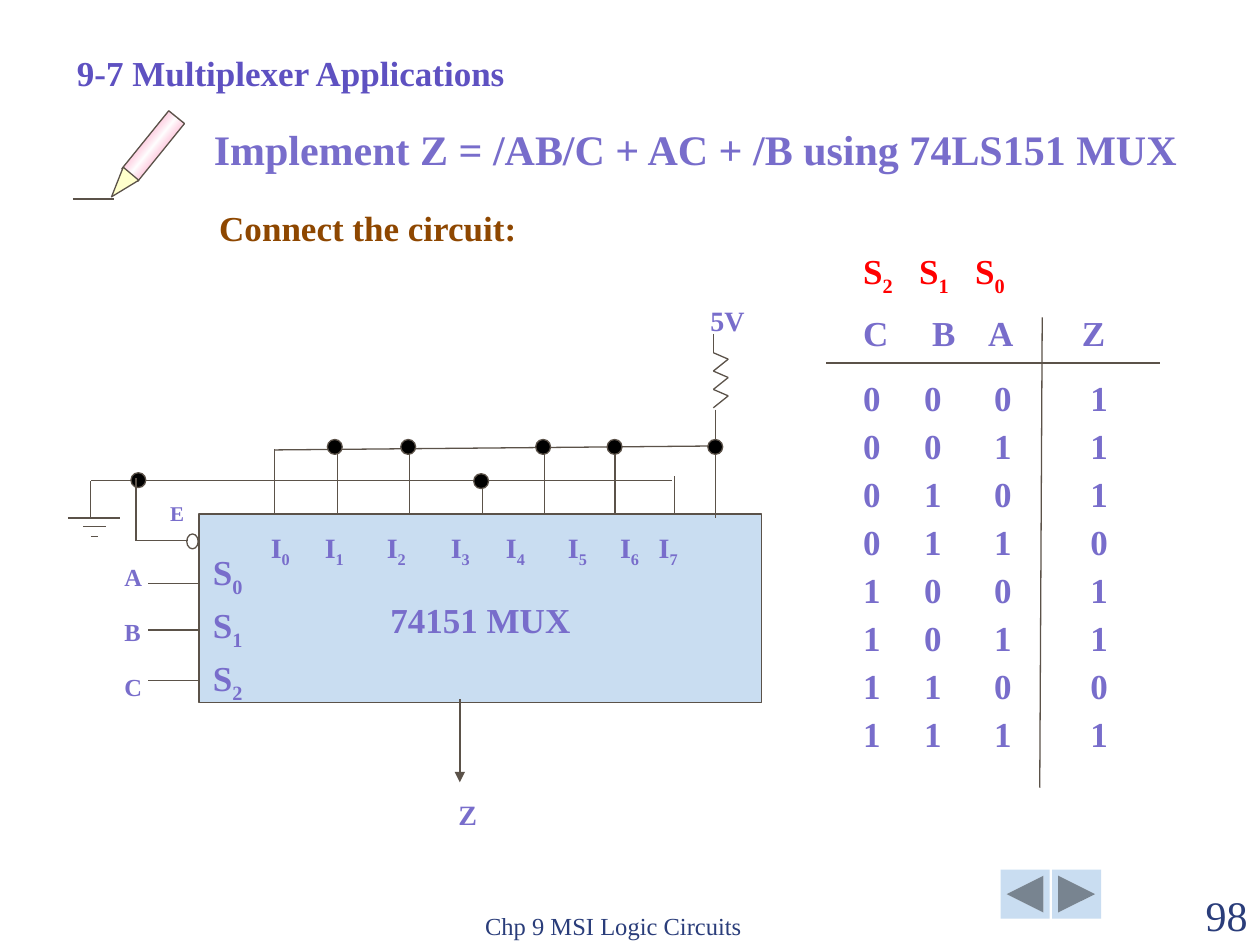
from itertools import pairwise, product

from lxml.etree import SubElement as Sub
from pptx import Presentation
from pptx.dml.color import RGBColor
from pptx.enum.shapes import MSO_CONNECTOR as Link, MSO_SHAPE as Kind
from pptx.enum.text import MSO_ANCHOR as Anchor, PP_ALIGN as Align
from pptx.oxml.ns import qn
from pptx.util import Cm, Pt

INK, BLUE, VIOLET, NAVY = "5B5249", "C9DDF1", "786DCB", "2A3D7A"


def tint(code):
    return RGBColor.from_string(code)


def write(frame, text, size=20, color=VIOLET, bold=True, align=Align.LEFT,
          anchor=Anchor.TOP, gap=0, lead=None, tabs=()):
    """Fill a frame line by line; the character after "_" is a subscript."""
    frame.word_wrap = True
    frame.vertical_anchor = anchor
    for i, line in enumerate(text.split("\n")):
        para = frame.add_paragraph() if i else frame.paragraphs[0]
        if tabs:
            stops = Sub(para._p.get_or_add_pPr(), qn("a:tabLst"))
            for pos in tabs:
                Sub(stops, qn("a:tab"), pos=str(Cm(pos)), algn="l")
        para.alignment = align
        if lead:
            para.line_spacing = lead
        if i:
            para.space_before = Pt(gap)
        head, *rest = line.split("_")
        bits = [(head, False)]
        for part in rest:
            bits += [(part[0], True), (part[1:], False)]
        for bit, low in bits:
            if not bit:
                continue
            run = para.add_run()
            run.text = bit
            font = run.font
            font.name, font.size, font.bold = "Times New Roman", Pt(size), bold
            font.color.rgb = tint(color)
            if low:
                run._r.get_or_add_rPr().set("baseline", "-25000")


class Pen:
    def __init__(self, slide, ink=INK, width=0.75):
        self.shapes, self.ink, self.width = slide.shapes, ink, width

    def text(self, text, x, y, w, h, **fmt):
        box = self.shapes.add_textbox(Cm(x), Cm(y), Cm(w), Cm(h))
        write(box.text_frame, text, **fmt)

    def shape(self, kind, x, y, w, h, fill=None, line=True, turn=0):
        item = self.shapes.add_shape(kind, Cm(x), Cm(y), Cm(w), Cm(h))
        item.shadow.inherit = False
        item.rotation = turn
        if fill:
            item.fill.solid()
            item.fill.fore_color.rgb = tint(fill)
        else:
            item.fill.background()
        if line:
            item.line.color.rgb = tint(self.ink)
            item.line.width = Pt(self.width)
        else:
            item.line.fill.background()
        return item

    def line(self, x1, y1, x2, y2, width=None, arrow=False):
        wire = self.shapes.add_connector(Link.STRAIGHT, Cm(x1), Cm(y1), Cm(x2), Cm(y2))
        wire.line.color.rgb = tint(self.ink)
        wire.line.width = Pt(width or self.width)
        if arrow:
            Sub(wire.line._get_or_add_ln(), qn("a:tailEnd"), type="triangle")
        Sub(wire._element.spPr, qn("a:effectLst"))

    def dot(self, x, y, size=0.3):
        self.shape(Kind.OVAL, x - size / 2, y - size / 2, size, size, "000000")

    def blend(self, item, stops, angle):
        item.fill.gradient()
        item.fill.gradient_angle = angle
        group = item._element.spPr.find(qn("a:gradFill")).find(qn("a:gsLst"))
        group.clear()
        for pos, code, alpha in stops:
            stop = Sub(group, qn("a:gs"), pos=str(pos * 1000))
            color = Sub(stop, qn("a:srgbClr"), val=code)
            Sub(color, qn("a:alpha"), val=str(alpha * 1000))


def main():
    deck = Presentation()
    deck.slide_width, deck.slide_height = Cm(25.4), Cm(19.05)
    pen = Pen(deck.slides.add_slide(deck.slide_layouts[6]))

    # Buttons and footer
    pen.shape(Kind.ACTION_BUTTON_BACK_OR_PREVIOUS, 20.17, 17.53, 0.99, 0.99, BLUE, False)
    pen.shape(Kind.ACTION_BUTTON_FORWARD_OR_NEXT, 21.21, 17.53, 0.99, 0.99, BLUE, False)
    foot = dict(color=NAVY, bold=False, anchor=Anchor.BOTTOM)
    pen.text("Chp 9 MSI Logic Circuits", 9.53, 17.81, 8.05, 1.27, size=14, **foot)
    pen.text("98", 22.86, 17.81, 2.54, 1.27, size=24, align=Align.RIGHT, **foot)

    # Headings
    pen.text("9-7 Multiplexer Applications", 1.3, 0.91, 9.19, 1.09, color="5E51C1")
    pen.text("Implement Z = /AB/C + AC + /B using 74LS151 MUX",
             4.06, 2.36, 20.6, 1.27, size=24)
    pen.text("Connect the circuit:", 4.17, 4.04, 7, 1.09, color="8E4700")

    # Pencil
    body = pen.shape(Kind.RECTANGLE, 2.34, 2.74, 1.5, 0.41, BLUE, turn=309)
    pen.blend(body, [(0, "FF0066", 25), (50, "FFFFFF", 100), (100, "FF0066", 25)], 90)
    pen.shape(Kind.ISOSCELES_TRIANGLE, 2.24, 3.43, 0.41, 0.61, "FFFFCC", turn=220.1)
    pen.line(1.47, 4.01, 2.29, 4.01)

    # Multiplexer block
    mux = pen.shape(Kind.RECTANGLE, 4.01, 10.36, 11.35, 3.81, BLUE)
    mux.text_frame.margin_top = Cm(0.58)
    write(mux.text_frame, "74151 MUX", align=Align.CENTER, anchor=Anchor.MIDDLE)
    pen.text("\t".join(f"I_{i}" for i in range(8)), 5.21, 10.57, 10.2, 0.94,
             size=16, tabs=(1.09, 2.34, 3.63, 4.74, 5.99, 7.04, 7.82))
    pen.text("S_0\nS_1\nS_2", 4.04, 11.15, 1.14, 2.87, lead=0.7, gap=11)

    # Select inputs and output
    pen.text("A\nB\nC", 2.26, 10.97, 0.86, 3.33, size=14, lead=1.4, gap=8)
    for y in (11.76, 12.7, 13.72):
        pen.line(4.01, y, 2.98, y)
    pen.line(9.27, 14.1, 9.27, 15.77, width=1.5, arrow=True)
    pen.text("Z", 8.99, 15.95, 0.89, 0.94, size=16)

    # Supply and resistor
    pen.text("5V", 13.61, 5.99, 2.11, 0.94, size=16, align=Align.CENTER)
    pen.line(14.38, 6.73, 14.38, 7.11)
    zigzag = [(14.38 + 0.3 * (i % 2), 7.11 + 0.37 * (i // 2) + 0.13 * (i % 2))
              for i in range(7)]
    for start, end in pairwise(zigzag):
        pen.line(*start, *end)
    pen.line(14.43, 8.26, 14.43, 10.44)

    # Inputs tied high
    pen.line(5.54, 9.07, 14.43, 8.99)
    for x in (5.54, 6.81, 8.26, 10.97, 12.4):
        pen.line(x, 9.06, x, 10.38)
    for x in (6.75, 8.23, 10.95, 12.39, 14.42):
        pen.dot(x, 9.01)

    # Inputs tied low
    pen.line(13.54, 9.68, 1.83, 9.68)
    pen.line(9.73, 9.55, 9.73, 10.36)
    pen.line(13.59, 9.6, 13.59, 10.34)
    pen.dot(9.7, 9.7)
    pen.dot(2.79, 9.68)

    # Enable input
    pen.text("E", 3.18, 9.96, 0.9, 0.76, size=12)
    pen.shape(Kind.OVAL, 3.73, 10.8, 0.3, 0.23, turn=90)
    pen.line(3.78, 10.9, 2.74, 10.9)
    pen.line(2.74, 10.9, 2.74, 9.63)

    # Ground
    pen.line(1.83, 9.7, 1.83, 10.44)
    for left, right, y in ((1.37, 2.41, 10.44), (1.68, 2.13, 10.62), (1.83, 1.98, 10.82)):
        pen.line(left, y, right, y)

    # Truth table
    pen.text("S_2\tS_1\tS_0", 17.15, 4.9, 4.52, 1.09, color="FF0000", tabs=(1.13, 2.26))
    pen.text("C\tB\tA\tZ", 17.15, 6.15, 6.6, 1.09, tabs=(1.39, 2.52, 4.41))
    rows = []
    for c, b, a in product((0, 1), repeat=3):
        z = int((not a and b and not c) or (a and c) or not b)
        rows.append(f"{c}\t{b}\t{a}\t{z}")
    pen.text("\n".join(rows), 17.15, 7.7, 6, 7.95, lead=0.7, gap=10.6,
             tabs=(1.23, 2.64, 4.58))
    pen.line(21.01, 6.4, 20.96, 15.88)
    pen.line(16.66, 7.32, 23.39, 7.32)

    deck.save("out.pptx")


if __name__ == "__main__":
    main()
